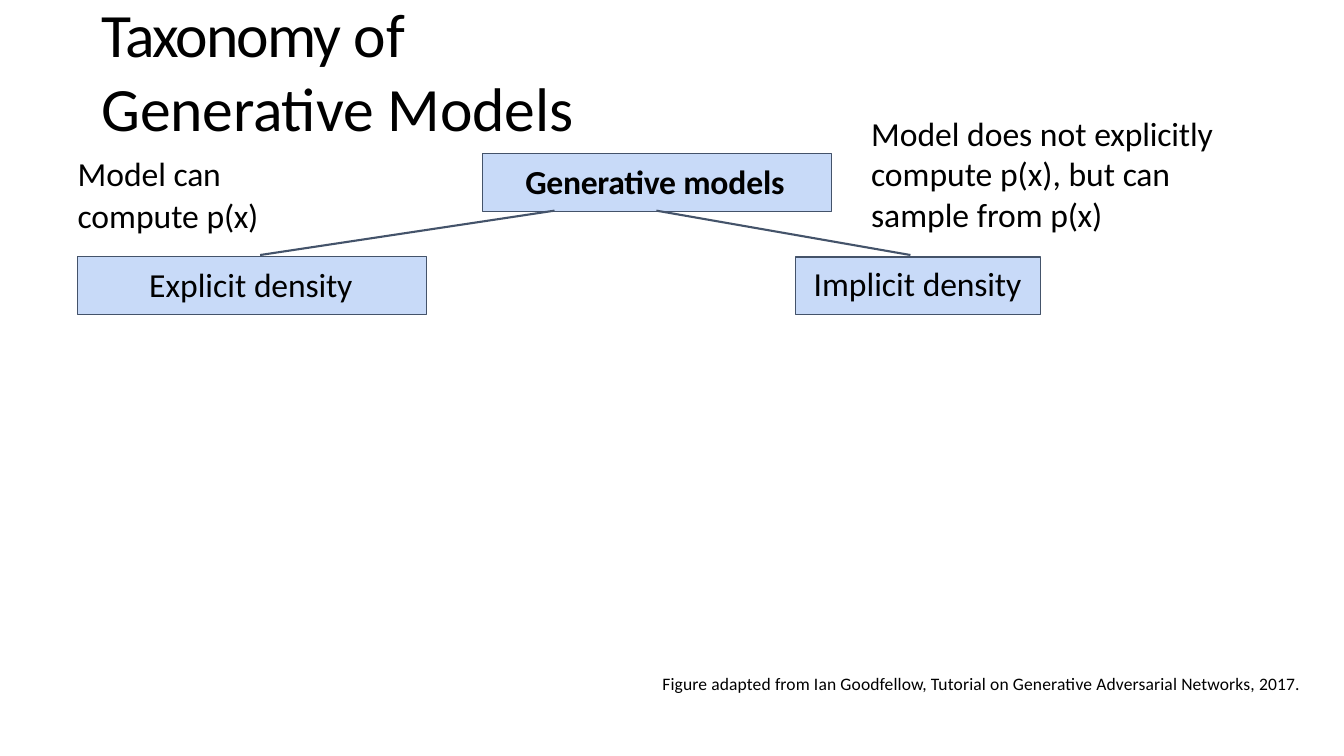
import lxml.etree
import pptx
import pptx.dml.color
import pptx.enum.shapes
import pptx.enum.text
import pptx.oxml.ns
import pptx.util

PX = 9144


def px(length):
    return pptx.util.Emu(length * PX)


def colour(hex_text):
    return pptx.dml.color.RGBColor.from_string(hex_text)


def assign(target, values):
    for name, value in values.items():
        setattr(target, name, value)


class TaxonomySlide:
    ink = "000000"
    edge = "44536A"
    box_fill = "C8DAF8"
    font = "Calibri"

    def __init__(self, deck):
        self.slide = deck.slides.add_slide(deck.slide_layouts[5])

    def fill_text(self, frame, paragraphs, size, left=1, top=3, right=0, bold=False):
        assign(frame, {
            "word_wrap": True,
            "auto_size": pptx.enum.text.MSO_AUTO_SIZE.NONE,
            "vertical_anchor": pptx.enum.text.MSO_ANCHOR.TOP,
            "margin_left": px(left),
            "margin_top": px(top),
            "margin_right": px(right),
            "margin_bottom": 0,
        })
        for index, pieces in enumerate(paragraphs):
            paragraph = frame.add_paragraph() if index else frame.paragraphs[0]
            paragraph.alignment = pptx.enum.text.PP_ALIGN.LEFT
            if index:
                paragraph.space_before = pptx.util.Pt(0.8)
            for words, tracking in pieces:
                run = paragraph.add_run()
                run.text = words
                assign(run.font, {"name": self.font, "size": pptx.util.Pt(size), "bold": bold})
                run.font.color.rgb = colour(self.ink)
                run.font._element.set("spc", str(tracking))

    def title(self, bounds, pieces):
        heading = self.slide.shapes.title
        assign(heading, dict(zip(("left", "top", "width", "height"), map(px, bounds))))
        self.fill_text(heading.text_frame, [pieces], 44, right=60)

    def note(self, bounds, paragraphs, size=24):
        label = self.slide.shapes.add_textbox(*map(px, bounds))
        self.fill_text(label.text_frame, paragraphs, size)

    def box(self, bounds, pieces, indent, top=8, bold=False):
        node = self.slide.shapes.add_shape(
            pptx.enum.shapes.MSO_SHAPE.RECTANGLE, *map(px, bounds))
        node.shadow.inherit = False
        node.fill.solid()
        node.fill.fore_color.rgb = colour(self.box_fill)
        node.line.color.rgb = colour(self.edge)
        node.line.width = pptx.util.Pt(0.75)
        self.fill_text(node.text_frame, [pieces], 24, left=indent, top=top, bold=bold)

    def branch(self, *ends):
        link = self.slide.shapes.add_connector(
            pptx.enum.shapes.MSO_CONNECTOR.STRAIGHT, *map(px, ends))
        link.line.color.rgb = colour(self.edge)
        link.line.width = pptx.util.Pt(1.5)
        lxml.etree.SubElement(link._element.spPr, pptx.oxml.ns.qn("a:effectLst"))


def main():
    deck = pptx.Presentation()
    assign(deck, {"slide_width": px(1333), "slide_height": px(750)})
    taxonomy = TaxonomySlide(deck)

    taxonomy.title((100, -7, 587, 150), [
        ("Taxonomy ", -130), ("of ", 0), ("Generative ", -20), ("Models", -10)])

    taxonomy.box((479, 152, 346, 58), [("Generative ", -20), ("models", -10)], 42, bold=True)
    taxonomy.box((77, 254, 346, 58), [("Explicit ", 0), ("density", -10)], 71)
    taxonomy.box((789, 255, 243, 57), [("Implicit ", 0), ("density", -10)], 18, top=6)

    taxonomy.branch(550, 209, 258, 253)
    taxonomy.branch(651, 209, 903, 253)

    taxonomy.note((863, 109, 344, 123), [[
        ("Model does not ", 0), ("explicitly ", -10), ("compute p(x), but ", 0),
        ("can ", -20), ("sample from ", 0), ("p(x)", -20)]])
    taxonomy.note((656, 665, 656, 24), [[
        ("Figure adapted from Ian Goodfellow, Tutorial on Generative "
         "Adversarial Networks, 2017.", 12)]], size=12.5)
    taxonomy.note((76, 149, 182, 84), [
        [("Model ", 0), ("can", -20)],
        [("compute ", 0), ("p(x)", -20)]])

    deck.save("out.pptx")


if __name__ == "__main__":
    main()
